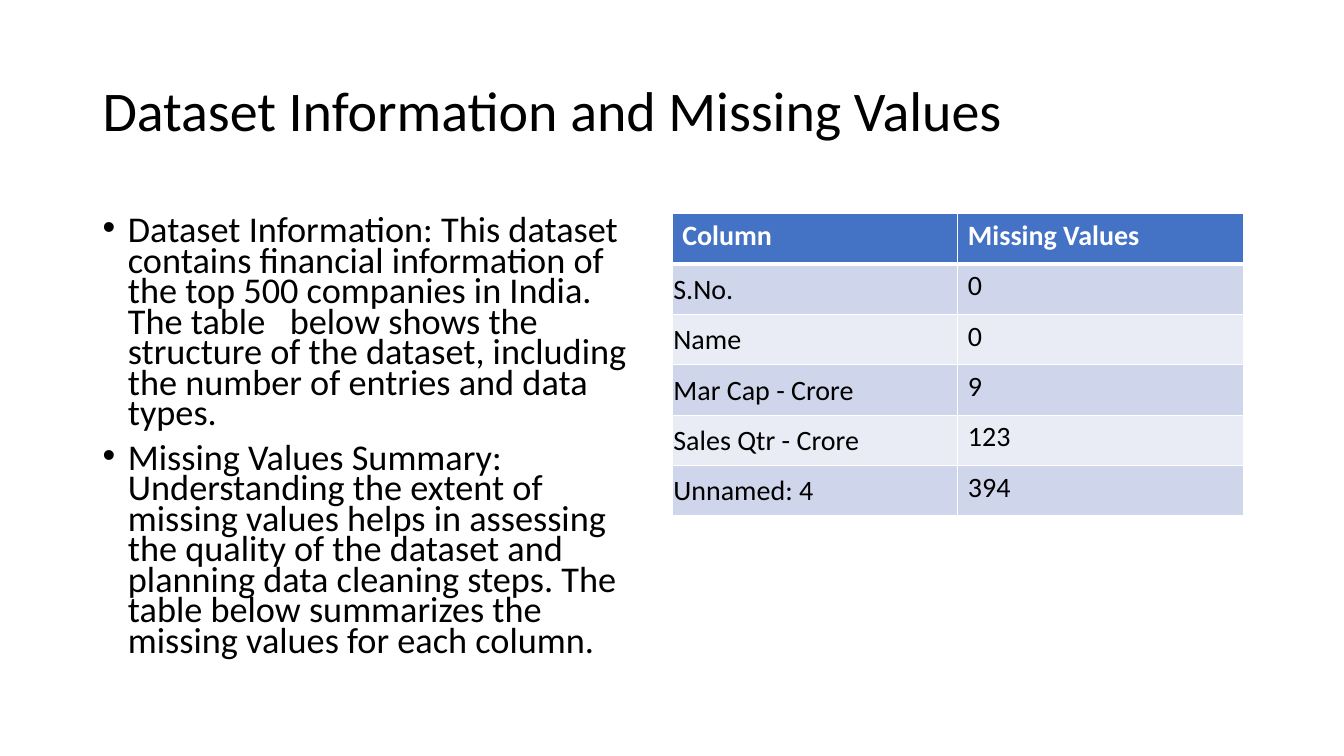
from lxml.etree import SubElement
from pptx import Presentation
from pptx.dml.color import RGBColor
from pptx.enum.text import MSO_ANCHOR, MSO_AUTO_SIZE, PP_ALIGN
from pptx.oxml.ns import qn
from pptx.util import Cm, Pt

BLACK = RGBColor(0x00, 0x00, 0x00)
WHITE = RGBColor(0xFF, 0xFF, 0xFF)
BLUE = RGBColor(0x44, 0x72, 0xC4)
BANDS = [RGBColor(0xE9, 0xEB, 0xF5), RGBColor(0xCF, 0xD5, 0xEA)]
FONT = "Calibri"

TITLE = "Dataset Information and Missing Values"
POINTS = [
    "Dataset Information: This dataset contains financial information of the "
    "top 500 companies in India. The table   below shows the structure of the "
    "dataset, including the number of entries and data types.",
    "Missing Values Summary: Understanding the extent of missing values helps "
    "in assessing the quality of the dataset and planning data cleaning steps. "
    "The table below summarizes the missing values for each column.",
]
ROWS = [
    ("Column", "Missing Values"),
    ("S.No.", "0"),
    ("Name", "0"),
    ("Mar Cap - Crore", "9"),
    ("Sales Qtr - Crore", "123"),
    ("Unnamed: 4", "394"),
]


def style(para, size, color=BLACK, bold=False):
    for run in para.runs:
        font = run.font
        font.name, font.size, font.bold = FONT, Pt(size), bold
        font.color.rgb = color


def place(shape, box):
    shape.left, shape.top, shape.width, shape.height = box
    shape.text_frame.auto_size = MSO_AUTO_SIZE.NONE
    shape.text_frame.word_wrap = True


def add_title(shape, box):
    place(shape, box)
    frame = shape.text_frame
    frame.text = TITLE
    frame.vertical_anchor = MSO_ANCHOR.MIDDLE
    para = frame.paragraphs[0]
    para.alignment = PP_ALIGN.LEFT
    para.line_spacing = 0.9
    style(para, 40)


def add_points(shape, box):
    place(shape, box)
    frame = shape.text_frame
    frame.text = "\n".join(POINTS)
    for para in frame.paragraphs:
        para.line_spacing = 0.7
        para.space_before = Pt(10)
        style(para, 25.9)
        # Hanging bullet
        props = para._p.get_or_add_pPr()
        props.set("marL", str(Cm(0.64)))
        props.set("indent", str(-Cm(0.64)))
        SubElement(props, qn("a:buFont"), typeface="Arial")
        SubElement(props, qn("a:buChar"), char="•")


def add_edges(cell, head, first):
    props = cell._tc.get_or_add_tcPr()
    widths = {"L": 1, "R": 1, "T": 3 if first else 1, "B": 3 if head else 1}
    for side, width in widths.items():
        line = SubElement(props, qn(f"a:ln{side}"), w=str(Pt(width)))
        fill = SubElement(line, qn("a:solidFill"))
        SubElement(fill, qn("a:srgbClr"), val=str(WHITE))


def add_grid(slide, box):
    table = slide.shapes.add_table(len(ROWS), len(ROWS[0]), *box).table
    for r, row in enumerate(ROWS):
        head = r == 0
        for c, text in enumerate(row):
            cell = table.cell(r, c)
            add_edges(cell, head, r == 1)
            cell.fill.solid()
            cell.fill.fore_color.rgb = BLUE if head else BANDS[r % 2]
            cell.text_frame.text = text
            style(cell.text_frame.paragraphs[0], 20, WHITE if head else BLACK, head)
            # Row labels sit tight against the left edge
            if c == 0 and not head:
                cell.vertical_anchor = MSO_ANCHOR.MIDDLE
                cell.margin_left = cell.margin_right = cell.margin_top = Cm(0.03)
                cell.margin_bottom = 0


def main():
    deck = Presentation()
    deck.slide_width, deck.slide_height = Cm(33.87), Cm(19.05)
    slide = deck.slides.add_slide(deck.slide_layouts[1])

    # Title above, list on the left, table on the right
    left, top, width = Cm(2.33), Cm(5.38), Cm(14.4)
    add_title(slide.shapes.title, (left, Cm(1.02), Cm(29.21), Cm(3.68)))
    add_points(slide.placeholders[1], (left, top, width, Cm(12.09)))
    add_grid(slide, (Cm(16.94), top, width, len(ROWS) * Cm(1.27)))

    deck.save("out.pptx")


if __name__ == "__main__":
    main()
